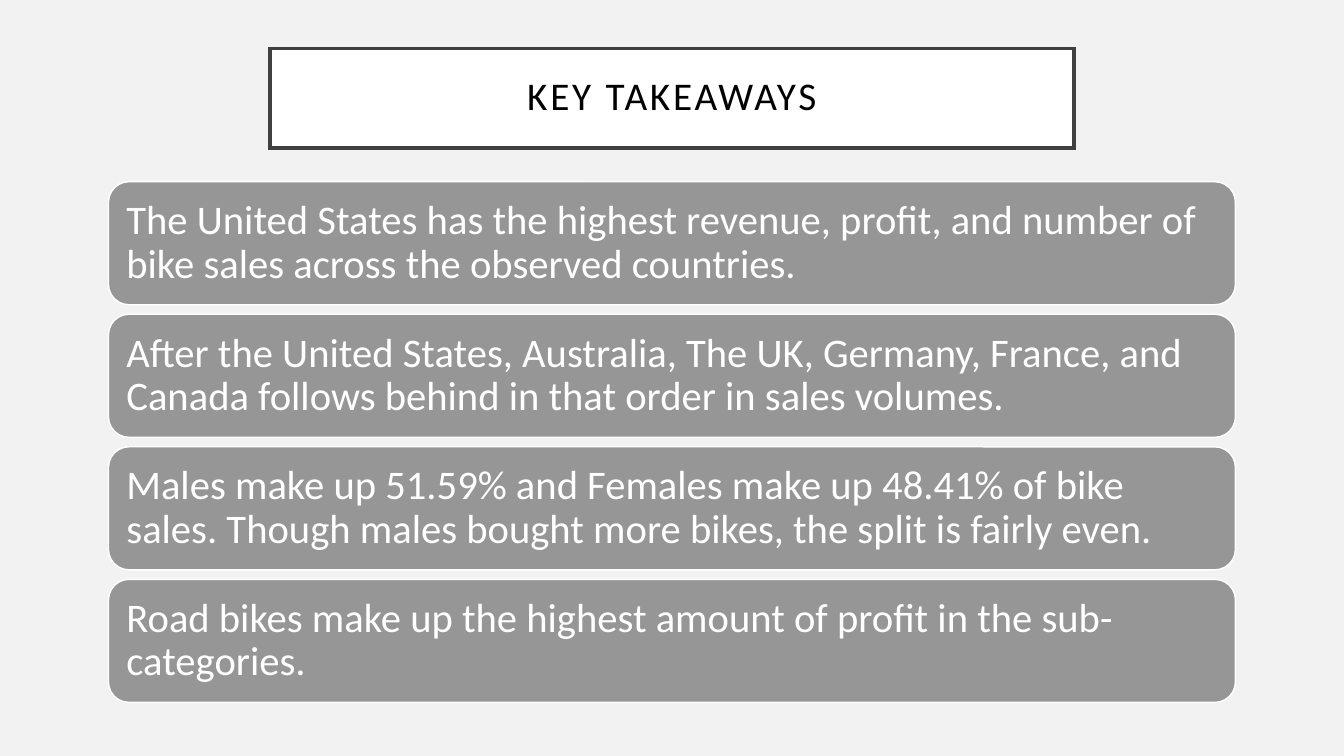
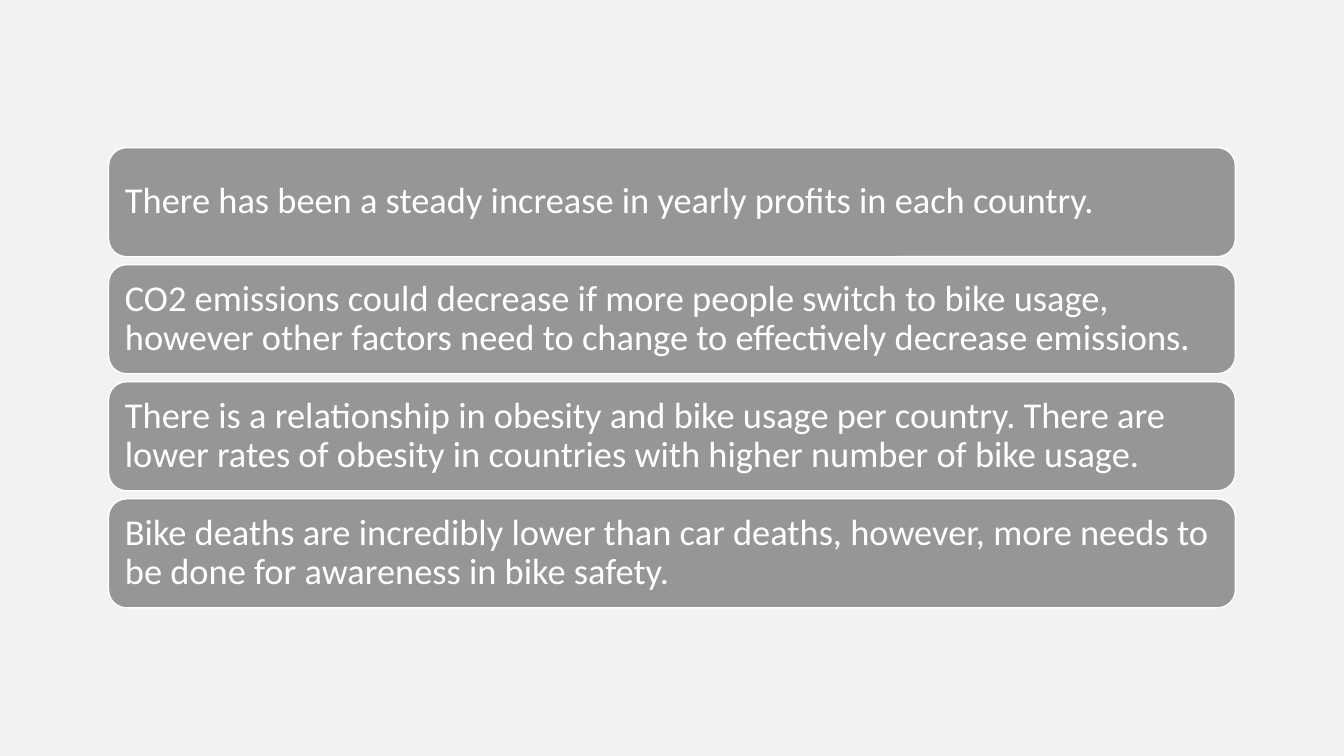
from dataclasses import dataclass

from lxml.etree import SubElement
from pptx import Presentation
from pptx.dml.color import RGBColor
from pptx.enum.shapes import MSO_SHAPE
from pptx.enum.text import MSO_ANCHOR, PP_ALIGN
from pptx.oxml.ns import qn
from pptx.util import Cm, Pt


@dataclass(frozen=True)
class Theme:
    """Colours, type sizes and shared measures of the presentation."""
    background: str = "F2F2F2"
    title_fill: str = "FFFFFF"
    title_border: str = "404040"
    title_text: str = "000000"
    card_fill: str = "969696"
    card_border: str = "FFFFFF"
    card_text: str = "FFFFFF"
    font: str = "Calibri"
    title_size: int = 28
    large_size: int = 29
    small_size: int = 26
    line_spacing: float = 0.9
    slide_width: float = 33.87
    slide_height: float = 19.05
    card_width: float = 28.4


THEME = Theme()

TAKEAWAYS = [
    "The United States has the highest revenue, profit, and number of bike sales across the observed countries.",
    "After the United States, Australia, The UK, Germany, France, and Canada follows behind in that order in sales volumes.",
    "Males make up 51.59% and Females make up 48.41% of bike sales. Though males bought more bikes, the split is fairly even.",
    "Road bikes make up the highest amount of profit in the sub-categories.",
]

MORE_TAKEAWAYS = [
    "There has been a steady increase in yearly profits in each country.",
    "CO2 emissions could decrease if more people switch to bike usage, however other factors need to change to effectively decrease emissions.",
    "There is a relationship in obesity and bike usage per country. There are lower rates of obesity in countries with higher number of bike usage.",
    "Bike deaths are incredibly lower than car deaths, however, more needs to be done for awareness in bike safety.",
]


def set_attributes(target, values):
    """Set each named format value on the target."""
    for name, value in values.items():
        setattr(target, name, value)


def add_panel(slide, kind, top, width, height, fill, border, border_width):
    """Add a filled, outlined shape centred across the slide."""
    left = (THEME.slide_width - width) / 2
    shape = slide.shapes.add_shape(kind, Cm(left), Cm(top), Cm(width), Cm(height))
    shape.shadow.inherit = False
    shape.fill.solid()
    shape.fill.fore_color.rgb = RGBColor.from_string(fill)
    shape.line.color.rgb = RGBColor.from_string(border)
    shape.line.width = Pt(border_width)
    return shape


def write_text(shape, text, size, color, alignment, inset):
    """Write one paragraph in the shape and return its run."""
    frame = shape.text_frame
    sides = ("left", "top", "right", "bottom")
    set_attributes(frame, {f"margin_{side}": Cm(inset) for side in sides})
    set_attributes(frame, {"word_wrap": True, "vertical_anchor": MSO_ANCHOR.MIDDLE})
    paragraph = frame.paragraphs[0]
    set_attributes(paragraph, {"alignment": alignment, "line_spacing": THEME.line_spacing})
    run = paragraph.add_run()
    run.text = text
    set_attributes(run.font, {"name": THEME.font, "size": Pt(size)})
    run.font.color.rgb = RGBColor.from_string(color)
    return run


def add_title(slide, text):
    """Add the framed title with letter-spaced text."""
    shape = add_panel(slide, MSO_SHAPE.RECTANGLE, 1.22, 20.27, 2.51,
                      THEME.title_fill, THEME.title_border, 2.5)
    outline = shape.line._get_or_add_ln()
    SubElement(outline, qn("a:miter"), lim="800000")
    run = write_text(shape, text, THEME.title_size, THEME.title_text, PP_ALIGN.CENTER, 0.5)
    run._r.get_or_add_rPr().set("spc", "200")


def add_cards(slide, texts, top, height, gap, size, inset):
    """Stack one rounded card per text at equal gaps."""
    for index, text in enumerate(texts):
        card = add_panel(slide, MSO_SHAPE.ROUNDED_RECTANGLE, top + index * (height + gap),
                         THEME.card_width, height, THEME.card_fill, THEME.card_border, 1)
        write_text(card, text, size, THEME.card_text, PP_ALIGN.LEFT, inset)


def create_presentation():
    """Create a widescreen presentation with the shared background."""
    presentation = Presentation()
    set_attributes(presentation, {"slide_width": Cm(THEME.slide_width),
                                  "slide_height": Cm(THEME.slide_height)})
    fill = presentation.slide_master.background.fill
    fill.solid()
    fill.fore_color.rgb = RGBColor.from_string(THEME.background)
    return presentation


def add_blank_slide(presentation):
    """Add a slide on the blank layout."""
    return presentation.slides.add_slide(presentation.slide_layouts[6])


def main():
    """Build both takeaway slides and save them."""
    presentation = create_presentation()
    slide = add_blank_slide(presentation)
    add_title(slide, "KEY TAKEAWAYS")
    add_cards(slide, TAKEAWAYS, top=4.58, height=3.1, gap=0.24,
              size=THEME.large_size, inset=0.3)
    slide = add_blank_slide(presentation)
    add_cards(slide, MORE_TAKEAWAYS, top=3.72, height=2.75, gap=0.2,
              size=THEME.small_size, inset=0.28)
    presentation.save("out.pptx")


if __name__ == "__main__":
    main()
